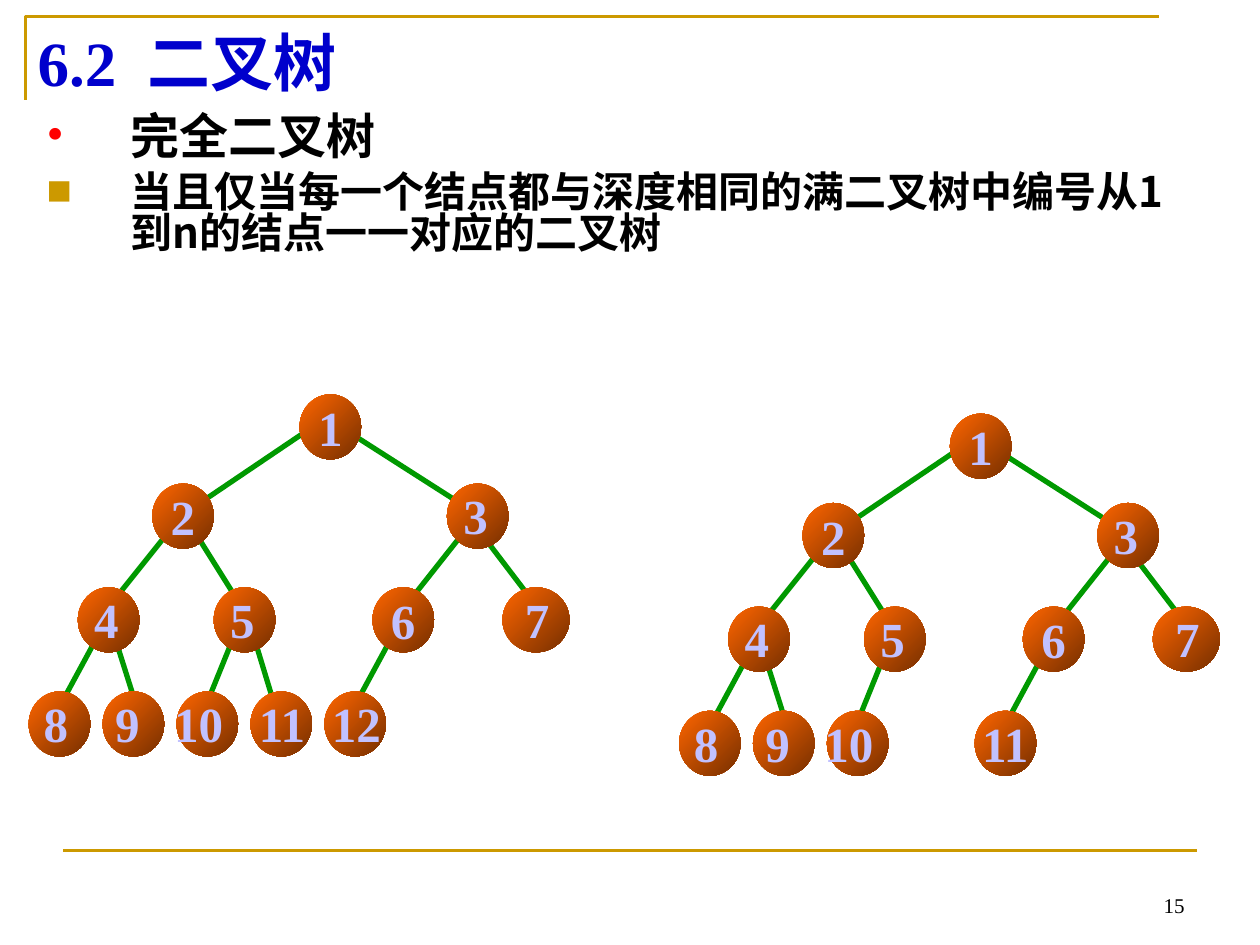
import dataclasses

import pptx
import pptx.dml.color
import pptx.enum.shapes
import pptx.enum.text
import pptx.oxml
import pptx.oxml.ns
import pptx.util
from pptx.util import Cm

ALIGN = pptx.enum.text.PP_ALIGN
ANCHOR = pptx.enum.text.MSO_ANCHOR
SHAPES = pptx.enum.shapes.MSO_SHAPE
STRAIGHT = pptx.enum.shapes.MSO_CONNECTOR.STRAIGHT


def rgb(code):
    return pptx.dml.color.RGBColor.from_string(code)


@dataclasses.dataclass(frozen=True)
class Theme:
    latin: str = "Times New Roman"
    chinese: str = "Noto Sans CJK SC"
    gold: str = "CC9900"
    title: str = "0000CC"
    ink: str = "000000"
    dot: str = "FF0000"
    edge: str = "009900"
    node: tuple = ("FF6600", "762F00")
    label: str = "C1C1FF"
    title_size: int = 36
    topic_size: int = 28
    body_size: int = 24
    label_size: int = 28
    number_size: int = 12
    rule_width: float = 1.5
    edge_width: float = 3


THEME = Theme()

# Node slots: left, top, and shift of a separate label (None: text inside the node)
NODE_WIDTH, NODE_HEIGHT, WIDE_NODE = 1.24, 1.31, 1.35
LEAF_TOP, LEAF_STEP = 5.99, 1.49
NODES = {
    1: (5.46, 0, None), 2: (2.49, 1.8, None), 3: (8.43, 1.8, 0.08),
    4: (0.99, 3.89, 0.08), 5: (3.73, 3.89, 0.08),
    6: (6.93, 3.89, None), 7: (9.55, 3.89, 0.2),
}
LEAF_SHIFTS = (0.05, 0, -0.3, -0.08, -0.1)
NODES.update({8 + i: (i * LEAF_STEP, LEAF_TOP, shift) for i, shift in enumerate(LEAF_SHIFTS)})

# Edge from the parent into each slot: x1, y1, x2, y2
EDGES = {
    3: (6.45, 0.76, 8.92, 2.34), 2: (5.79, 0.61, 3.23, 2.34),
    7: (9.17, 2.87, 10.16, 4.17), 6: (8.92, 2.59, 7.67, 4.17),
    5: (3.23, 2.59, 4.22, 4.17), 4: (2.74, 2.87, 1.5, 4.42),
    12: (7.44, 4.67, 6.45, 6.5), 11: (4.47, 4.67, 4.95, 6.25),
    10: (4.22, 4.67, 3.48, 6.5), 9: (1.75, 4.95, 2.24, 6.5),
    8: (1.5, 4.67, 0.51, 6.5),
}


def apply(target, formats):
    for name, value in formats.items():
        setattr(target, name, value)


def add_span(para, text, size, color, bold=True, latin=THEME.latin):
    span = para.add_run()
    span.text = text
    apply(span.font, {"size": pptx.util.Pt(size), "bold": bold, "name": latin})
    span.font.color.rgb = rgb(color)
    east = pptx.oxml.parse_xml(
        f'<a:ea {pptx.oxml.ns.nsdecls("a")} typeface="{THEME.chinese}"/>')
    span.font._element.append(east)
    return span


def add_text_box(shapes, box, **formats):
    frame = shapes.add_textbox(*map(Cm, box)).text_frame
    apply(frame, {"word_wrap": True, **formats})
    return frame


def add_line(shapes, points, color, width):
    line = shapes.add_connector(STRAIGHT, *map(Cm, points))
    line.line.color.rgb = rgb(color)
    line.line.width = pptx.util.Pt(width)
    line._element.spPr.append(
        pptx.oxml.parse_xml(f'<a:effectLst {pptx.oxml.ns.nsdecls("a")}/>'))


def add_bullet(para, mark, color, indent):
    props = para._p.get_or_add_pPr()
    apply_indent = {"marL": Cm(indent), "indent": -Cm(indent)}
    for name, value in apply_indent.items():
        props.set(name, str(value))
    space = pptx.oxml.ns.nsdecls("a")
    for xml in (f'<a:buClr {space}><a:srgbClr val="{color}"/></a:buClr>',
                f'<a:buFont {space} typeface="{THEME.latin}"/>',
                f'<a:buChar {space} char="{mark}"/>'):
        props.append(pptx.oxml.parse_xml(xml))


def add_title(page, box):
    left, top, width, height = box
    # Corner frame above and beside the title
    outline = page.shapes.build_freeform(Cm(left), Cm(top + 1.68))
    outline.add_line_segments([(Cm(left), Cm(top)), (Cm(left + width), Cm(top))], close=False)
    corner = outline.convert_to_shape()
    corner.shadow.inherit = False
    corner.fill.background()
    corner.line.color.rgb = rgb(THEME.gold)
    corner.line.width = pptx.util.Pt(THEME.rule_width)
    # Title text, with a widened gap after the section number
    para = add_text_box(page.shapes, box, vertical_anchor=ANCHOR.MIDDLE).paragraphs[0]
    number, gap, name = [add_span(para, text, THEME.title_size, THEME.title)
                         for text in ("6.2", " ", "二叉树")]
    gap.font._element.set("spc", "900")


def add_body(page, box):
    frame = add_text_box(page.shapes, box, margin_top=Cm(0.2))
    items = (
        ("完全二叉树", "•", THEME.dot, THEME.topic_size),
        ("当且仅当每一个结点都与深度相同的满二叉树中编号从1到n的结点一一对应的二叉树",
         "■", THEME.gold, THEME.body_size),
    )
    for index, (text, mark, color, size) in enumerate(items):
        para = frame.add_paragraph() if index else frame.paragraphs[0]
        add_bullet(para, mark, color, 1.7)
        apply(para, {"line_spacing": 0.82, "space_before": pptx.util.Pt(6 if index else 0)})
        add_span(para, text, size, THEME.ink, latin=THEME.chinese)


def add_node(shapes, box):
    node = shapes.add_shape(SHAPES.OVAL, *map(Cm, box))
    node.shadow.inherit = False
    node.line.fill.background()
    node.fill.gradient()
    node.fill.gradient_angle = 315
    for stop, color, position in zip(node.fill.gradient_stops, THEME.node, (0, 1)):
        stop.color.rgb = rgb(color)
        stop.position = position
    return node.text_frame


def add_tree(page, left, top, labels):
    """Draw the nodes named in labels, a dict of slot to label."""
    shapes = page.shapes.add_group_shape().shapes
    for slot, (x1, y1, x2, y2) in EDGES.items():
        if slot in labels:
            add_line(shapes, (left + x1, top + y1, left + x2, top + y2),
                     THEME.edge, THEME.edge_width)
    frames = {}
    for slot in labels:
        x, y, shift = NODES[slot]
        width = WIDE_NODE if slot == 7 else NODE_WIDTH
        frames[slot] = add_node(shapes, (left + x, top + y, width, NODE_HEIGHT))
    for slot, label in labels.items():
        x, y, shift = NODES[slot]
        if shift is None:
            frame, align = frames[slot], ALIGN.CENTER
            apply(frame, {"word_wrap": False, "vertical_anchor": ANCHOR.MIDDLE})
        else:
            box = (left + x + shift, top + y - 0.08, 1 if len(label) == 1 else 1.5, 1.45)
            frame, align = add_text_box(shapes, box, word_wrap=False), ALIGN.LEFT
        frame.paragraphs[0].alignment = align
        add_span(frame.paragraphs[0], label, THEME.label_size, THEME.label)


def add_footer(page, box):
    left, top, width, height = box
    add_line(page.shapes, (left, top, left + width, top), THEME.gold, THEME.rule_width)
    number_box = (left + width - 5.92, top + 0.2, 5.92, height - 0.2)
    para = add_text_box(page.shapes, number_box, vertical_anchor=ANCHOR.BOTTOM).paragraphs[0]
    para.alignment = ALIGN.RIGHT
    add_span(para, "15", THEME.number_size, THEME.ink, bold=False)


def main():
    deck = pptx.Presentation()
    apply(deck, {"slide_width": Cm(25.4), "slide_height": Cm(19.05)})
    page = deck.slides.add_slide(deck.slide_layouts[6])
    add_footer(page, (1.27, 17.15, 22.86, 1.47))
    add_body(page, (0.69, 2.13, 23.6, 14.4))
    add_title(page, (0.51, 0.33, 22.86, 1.8))
    full = {slot: str(slot) for slot in NODES}
    add_tree(page, 0.58, 7.95, full)
    # The second tree lacks slot 11 and numbers its last leaf 11
    gapped = {slot: label for slot, label in full.items() if slot != 11}
    add_tree(page, 13.69, 8.34, {**gapped, 12: "11"})
    deck.save("out.pptx")


if __name__ == "__main__":
    main()
